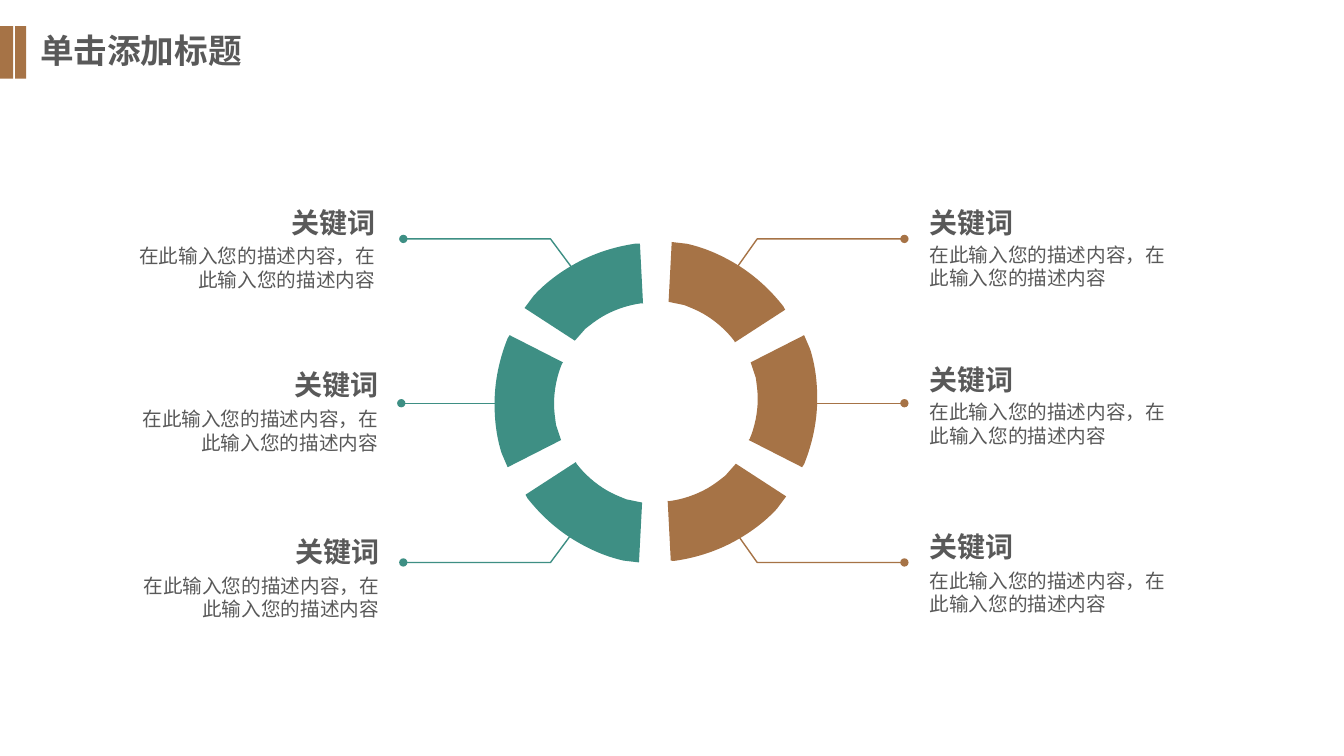
from lxml import etree
from pptx import Presentation
from pptx.dml.color import RGBColor
from pptx.enum.shapes import MSO_CONNECTOR, MSO_SHAPE
from pptx.enum.text import MSO_AUTO_SIZE, PP_ALIGN
from pptx.oxml.ns import qn
from pptx.util import Emu, Pt

PX = 9144  # 100 px to the inch
LEFT, RIGHT = PP_ALIGN.LEFT, PP_ALIGN.RIGHT
RECT, STRAIGHT = MSO_SHAPE.RECTANGLE, MSO_CONNECTOR.STRAIGHT
GROW = MSO_AUTO_SIZE.SHAPE_TO_FIT_TEXT

FONT = "Noto Sans CJK SC"
GREY, BROWN, TEAL = "595959", "A67346", "3E8F84"
KEY = "关键词"
NOTE = "在此输入您的描述内容，在此输入您的描述内容"

# Upright ring part: one point for a line, three for a curve
START = (63, 0)
PARTS = [
    [(86, 0), (108, 5), (128, 13)],
    [(131, 15)],
    [(104, 68)],
    [(103, 67)],
    [(91, 62), (77, 59), (63, 59)],
    [(56, 59), (49, 60), (42, 61)],
    [(27, 66)],
    [(0, 13)],
    [(14, 7)],
    [(30, 2), (46, 0), START],
]
# Left, top, turn
BROWN_RING = [(647, 257, 30), (711, 364, 90), (647, 473, 150)]
TEAL_RING = [(522, 473, 210), (459, 364, 270), (522, 257, 330)]

# Key left, key top, note left, note top
LEFT_NOTES = [(270, 199, 124, 237), (273, 360, 127, 399), (274, 525, 128, 564)]
RIGHT_NOTES = [(912, 199, 912, 236), (912, 355, 912, 392), (912, 520, 912, 559)]


def px(value):
    return Emu(value * PX)


def color(code):
    return RGBColor.from_string(code)


def text(slide, words, x, y, w, h, size=14, bold=False, align=LEFT):
    box = slide.shapes.add_textbox(px(x), px(y), px(w), px(h))
    frame = box.text_frame
    frame.word_wrap = True
    frame.auto_size = GROW
    para = frame.paragraphs[0]
    para.alignment = align
    run = para.add_run()
    run.text = words
    font = run.font
    font.name, font.size, font.bold = FONT, Pt(size), bold
    font.color.rgb = color(GREY)
    east = etree.SubElement(run._r.get_or_add_rPr(), qn("a:ea"))
    east.set("typeface", FONT)


def paint(shape, code):
    shape.shadow.inherit = False
    shape.fill.solid()
    shape.fill.fore_color.rgb = color(code)
    shape.line.fill.background()


def bar(slide, x, y, w, h):
    paint(slide.shapes.add_shape(RECT, px(x), px(y), px(w), px(h)), BROWN)


def outline(slide, points, close):
    spots = [(px(x), px(y)) for x, y in points]
    pen = slide.shapes.build_freeform(*spots[0], scale=1.0)
    pen.add_line_segments(spots[1:], close=close)
    return pen.convert_to_shape()


def dot_line(shape, code, width):
    """Style a line and end it with a dot."""
    shape.line.color.rgb = color(code)
    shape.line.width = Pt(width)
    tail = etree.SubElement(shape.line._get_or_add_ln(), qn("a:tailEnd"))
    tail.set("type", "oval")


def flat(slide, x1, x2, y, code):
    line = slide.shapes.add_connector(STRAIGHT, px(x1), px(y), px(x2), px(y))
    dot_line(line, code, 0.5)
    etree.SubElement(line._element.spPr, qn("a:effectLst"))


def bent(slide, points, code):
    shape = outline(slide, points, False)
    shape.shadow.inherit = False
    shape.fill.background()
    dot_line(shape, code, 1)


def curve(shape):
    """Join the lines of each three-point part into one curve."""
    lines = iter(list(shape._element.iter(qn("a:lnTo"))))
    for part in PARTS:
        group = [next(lines) for _ in part]
        if len(group) == 3:
            bend = etree.Element(qn("a:cubicBezTo"))
            group[0].addprevious(bend)
            for line in group:
                bend.append(line[0])
                line.getparent().remove(line)


def wedge(slide, x, y, turn, code):
    points = [START] + [spot for part in PARTS for spot in part]
    shape = outline(slide, [(x + dx, y + dy) for dx, dy in points], True)
    curve(shape)
    paint(shape, code)
    shape.rotation = turn


def label(slide, spot, align):
    key_x, key_y, note_x, note_y = spot
    text(slide, NOTE, note_x, note_y, 258, 58, align=align)
    text(slide, KEY, key_x, key_y, 112, 44, size=20, bold=True, align=align)


def main():
    deck = Presentation()
    deck.slide_width, deck.slide_height = px(1333), px(750)
    slide = deck.slides.add_slide(deck.slide_layouts[6])

    text(slide, "单击添加标题", 30, 25, 330, 53, size=24, bold=True)
    bar(slide, 0, 26, 13, 52)
    bar(slide, 15, 26, 11, 52)

    flat(slide, 785, 897, 400, BROWN)
    for near, far in [(268, 237), (527, 558)]:
        bent(slide, [(729, near), (751, far), (897, far)], BROWN)
        bent(slide, [(569, near), (546, far), (400, far)], TEAL)
    flat(slide, 510, 398, 400, TEAL)

    for ring, code in [(BROWN_RING, BROWN), (TEAL_RING, TEAL)]:
        for x, y, turn in ring:
            wedge(slide, x, y, turn, code)

    for spots, align in [(LEFT_NOTES, RIGHT), (RIGHT_NOTES, LEFT)]:
        for spot in spots:
            label(slide, spot, align)

    deck.save("out.pptx")


if __name__ == "__main__":
    main()
